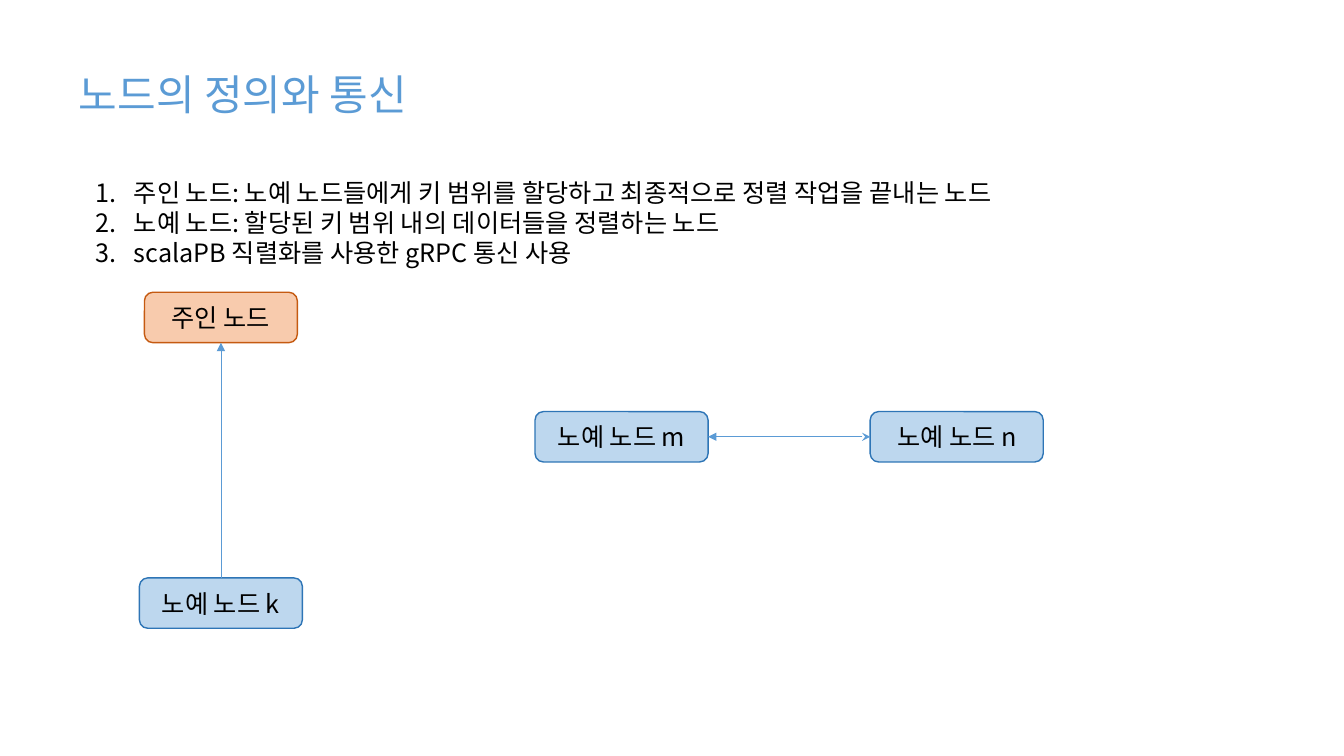
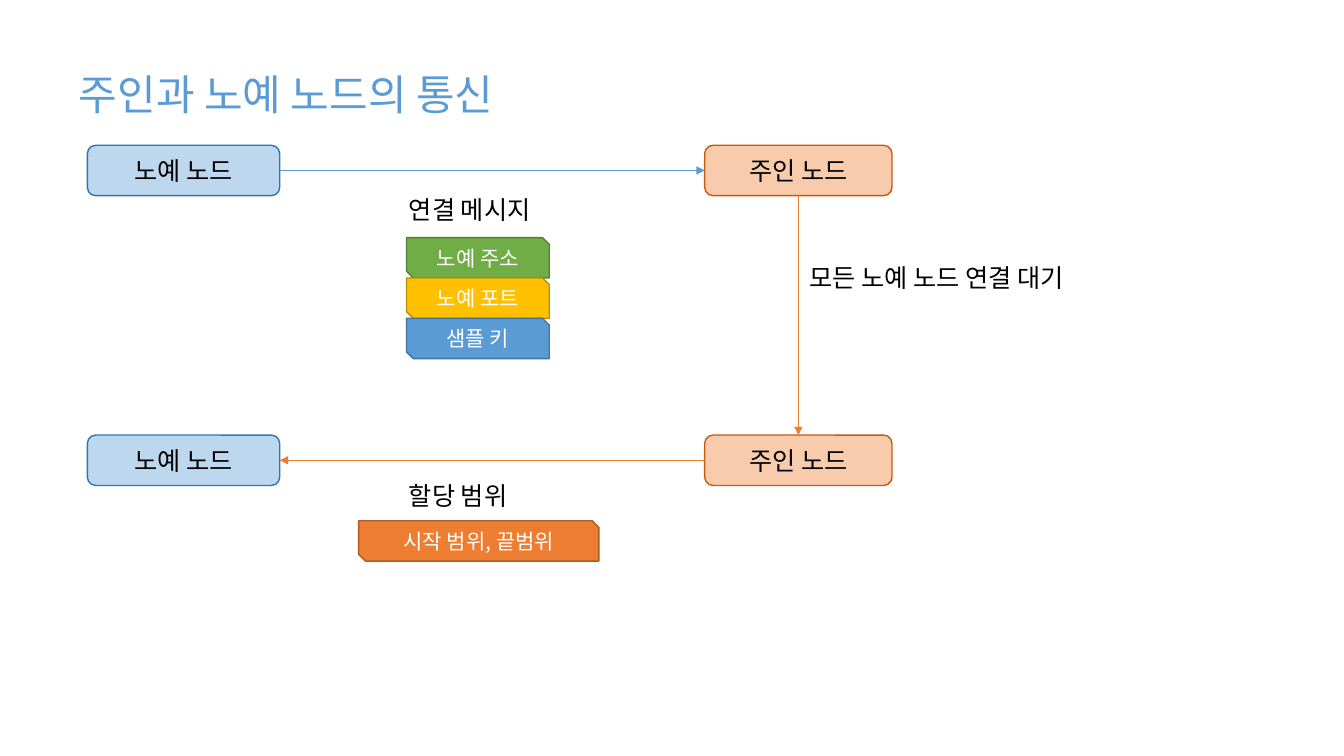
"""Build two slides on master and slave nodes and their communication."""
from dataclasses import dataclass

from lxml.etree import SubElement
from pptx import Presentation
from pptx.dml.color import RGBColor
from pptx.enum.shapes import MSO_CONNECTOR, MSO_SHAPE
from pptx.enum.text import MSO_ANCHOR, MSO_AUTO_SIZE, PP_ALIGN
from pptx.oxml.ns import qn
from pptx.shapes.autoshape import Shape
from pptx.slide import Slide
from pptx.text.text import TextFrame
from pptx.util import Emu, Inches, Pt

SLIDE_WIDTH, SLIDE_HEIGHT = Inches(13.333), Inches(7.5)
COLUMNS, ROWS = 16, 9
FONT = "Noto Sans CJK KR"
BLACK, WHITE, BLUE, ORANGE = "000000", "FFFFFF", "5B9BD5", "ED7D31"
NODE_HEIGHT, FIELD_HEIGHT, LABEL_HEIGHT = 0.6, 0.48, 0.48
TOP, LEFT, BOTTOM, RIGHT = range(4)


@dataclass(frozen=True)
class Area:
    """A rectangle in grid columns and rows."""
    column: float
    row: float
    width: float
    height: float

    def lengths(self) -> tuple[Emu, Emu, Emu, Emu]:
        """Return left, top, width and height as slide lengths."""
        column_width, row_height = SLIDE_WIDTH / COLUMNS, SLIDE_HEIGHT / ROWS
        return (Emu(round(self.column * column_width)), Emu(round(self.row * row_height)),
                Emu(round(self.width * column_width)), Emu(round(self.height * row_height)))


@dataclass(frozen=True)
class BoxStyle:
    """The look of a filled box."""
    fill: str
    line: str
    preset: MSO_SHAPE = MSO_SHAPE.SNIP_2_DIAG_RECTANGLE
    size: float = 15
    text_color: str = WHITE


@dataclass(frozen=True)
class Box:
    """A box with its text, place and style."""
    text: str
    area: Area
    style: BoxStyle


@dataclass(frozen=True)
class Arrow:
    """An arrow between the sides of two named boxes."""
    start: str
    start_side: int
    end: str
    end_side: int
    color: str = BLUE
    start_head: str = "none"


MASTER = BoxStyle("F8CBAD", "C55A11", MSO_SHAPE.ROUNDED_RECTANGLE, 18, BLACK)
SLAVE = BoxStyle("BDD7EE", "2E75B6", MSO_SHAPE.ROUNDED_RECTANGLE, 18, BLACK)
RANGE_FIELD = BoxStyle(ORANGE, "AF5C24")


def rgb(color: str) -> RGBColor:
    """Turn a hex string into a colour."""
    return RGBColor.from_string(color)


def set_values(target: object, values: dict[str, object]) -> None:
    """Set each named attribute of the target."""
    for name, value in values.items():
        setattr(target, name, value)


def write_text(frame: TextFrame, lines: list[str], size: float, color: str,
               alignment: PP_ALIGN = PP_ALIGN.LEFT, **frame_values: object) -> None:
    """Write the lines as paragraphs in one font."""
    frame.text = "\n".join(lines)
    set_values(frame, {"word_wrap": True, **frame_values})
    for paragraph in frame.paragraphs:
        paragraph.alignment = alignment
        for run in paragraph.runs:
            set_values(run.font, {"name": FONT, "size": Pt(size)})
            run.font.color.rgb = rgb(color)
            SubElement(run.font._element, qn("a:ea"), typeface=FONT)


def add_titled_slide(presentation: Presentation, title: str, width: float) -> Slide:
    """Add a slide with the shared title style."""
    slide = presentation.slides.add_slide(presentation.slide_layouts[5])
    placeholder = slide.shapes.title
    names = ("left", "top", "width", "height")
    set_values(placeholder, dict(zip(names, Area(0.82, 0.76, width, 0.73).lengths())))
    write_text(placeholder.text_frame, [title], 30, BLUE, word_wrap=False,
               auto_size=MSO_AUTO_SIZE.SHAPE_TO_FIT_TEXT, vertical_anchor=MSO_ANCHOR.TOP)
    return slide


def add_label(slide: Slide, lines: list[str], area: Area) -> TextFrame:
    """Add a plain text box and return its text frame."""
    frame = slide.shapes.add_textbox(*area.lengths()).text_frame
    write_text(frame, lines, 18, BLACK, auto_size=MSO_AUTO_SIZE.SHAPE_TO_FIT_TEXT)
    return frame


def number_paragraphs(frame: TextFrame) -> None:
    """Number the paragraphs with a hanging indent."""
    indent = Inches(0.38)
    for paragraph in frame.paragraphs:
        properties = paragraph._p.get_or_add_pPr()
        properties.set("marL", str(indent))
        properties.set("indent", str(-indent))
        SubElement(properties, qn("a:buAutoNum"), type="arabicPeriod")


def add_box(slide: Slide, box: Box) -> Shape:
    """Draw a box with centred text."""
    style = box.style
    shape = slide.shapes.add_shape(style.preset, *box.area.lengths())
    shape.shadow.inherit = False
    shape.fill.solid()
    shape.fill.fore_color.rgb = rgb(style.fill)
    shape.line.color.rgb = rgb(style.line)
    shape.line.width = Pt(1)
    write_text(shape.text_frame, [box.text], style.size, style.text_color,
               PP_ALIGN.CENTER, vertical_anchor=MSO_ANCHOR.MIDDLE)
    return shape


def add_arrow(slide: Slide, arrow: Arrow, shapes: dict[str, Shape]) -> None:
    """Join two boxes with an arrow."""
    connector = slide.shapes.add_connector(MSO_CONNECTOR.STRAIGHT, 0, 0, 0, 0)
    connector.begin_connect(shapes[arrow.start], arrow.start_side)
    connector.end_connect(shapes[arrow.end], arrow.end_side)
    connector.line.color.rgb = rgb(arrow.color)
    connector.line.width = Pt(0.5)
    line = connector.line._get_or_add_ln()
    SubElement(line, qn("a:headEnd"), type=arrow.start_head)
    SubElement(line, qn("a:tailEnd"), type="triangle")
    SubElement(connector._element.spPr, qn("a:effectLst"))


def add_diagram(slide: Slide, boxes: dict[str, Box], arrows: list[Arrow]) -> None:
    """Draw the named boxes and the arrows between them."""
    shapes = {name: add_box(slide, box) for name, box in boxes.items()}
    for arrow in arrows:
        add_arrow(slide, arrow, shapes)


def build_definition_slide(presentation: Presentation) -> None:
    """Build the slide that defines the nodes."""
    slide = add_titled_slide(presentation, "노드의 정의와 통신", 4.63)
    number_paragraphs(add_label(slide, [
        "주인 노드: 노예 노드들에게 키 범위를 할당하고 최종적으로 정렬 작업을 끝내는 노드",
        "노예 노드: 할당된 키 범위 내의 데이터들을 정렬하는 노드",
        "scalaPB 직렬화를 사용한 gRPC 통신 사용",
    ], Area(1.02, 2.05, 13.72, 1.21)))
    boxes = {
        "master": Box("주인 노드", Area(1.72, 3.48, 1.82, NODE_HEIGHT), MASTER),
        "k": Box("노예 노드 k", Area(1.66, 6.88, 1.94, NODE_HEIGHT), SLAVE),
        "m": Box("노예 노드 m", Area(6.37, 4.9, 2.06, NODE_HEIGHT), SLAVE),
        "n": Box("노예 노드 n", Area(10.36, 4.9, 2.06, NODE_HEIGHT), SLAVE),
    }
    add_diagram(slide, boxes, [
        Arrow("k", TOP, "master", BOTTOM),
        Arrow("n", LEFT, "m", RIGHT, start_head="stealth"),
    ])


def build_exchange_slide(presentation: Presentation) -> None:
    """Build the slide on messages between master and slave."""
    slide = add_titled_slide(presentation, "주인과 노예 노드의 통신", 5.82)
    fields = [
        ("노예 주소", BoxStyle("70AD47", "538035")),
        ("노예 포트", BoxStyle("FFC000", "BD8E00")),
        ("샘플 키", BoxStyle(BLUE, "43739E")),
    ]
    for index, (text, style) in enumerate(fields):
        row = 2.83 + index * FIELD_HEIGHT
        add_box(slide, Box(text, Area(4.84, row, 1.7, FIELD_HEIGHT), style))
    boxes = {}
    for stage, row in {"request": 1.73, "reply": 5.18}.items():
        boxes[f"{stage} slave"] = Box("노예 노드", Area(1.04, row, 2.29, NODE_HEIGHT), SLAVE)
        boxes[f"{stage} master"] = Box("주인 노드", Area(8.39, row, 2.23, NODE_HEIGHT), MASTER)
    add_diagram(slide, boxes, [
        Arrow("request slave", RIGHT, "request master", LEFT),
        Arrow("request master", BOTTOM, "reply master", TOP, ORANGE),
        Arrow("reply master", LEFT, "reply slave", RIGHT, ORANGE),
    ])
    labels = [
        ("연결 메시지", 4.75, 2.26, 2.21),
        ("모든 노예 노드 연결 대기", 9.52, 3.06, 3.78),
        ("할당 범위", 4.75, 5.66, 2.21),
    ]
    for text, column, row, width in labels:
        add_label(slide, [text], Area(column, row, width, LABEL_HEIGHT))
    add_box(slide, Box("시작 범위, 끝범위", Area(4.27, 6.2, 2.86, FIELD_HEIGHT), RANGE_FIELD))


def main() -> None:
    """Build and save the presentation."""
    presentation = Presentation()
    set_values(presentation, {"slide_width": SLIDE_WIDTH, "slide_height": SLIDE_HEIGHT})
    build_definition_slide(presentation)
    build_exchange_slide(presentation)
    presentation.save("out.pptx")


main()
